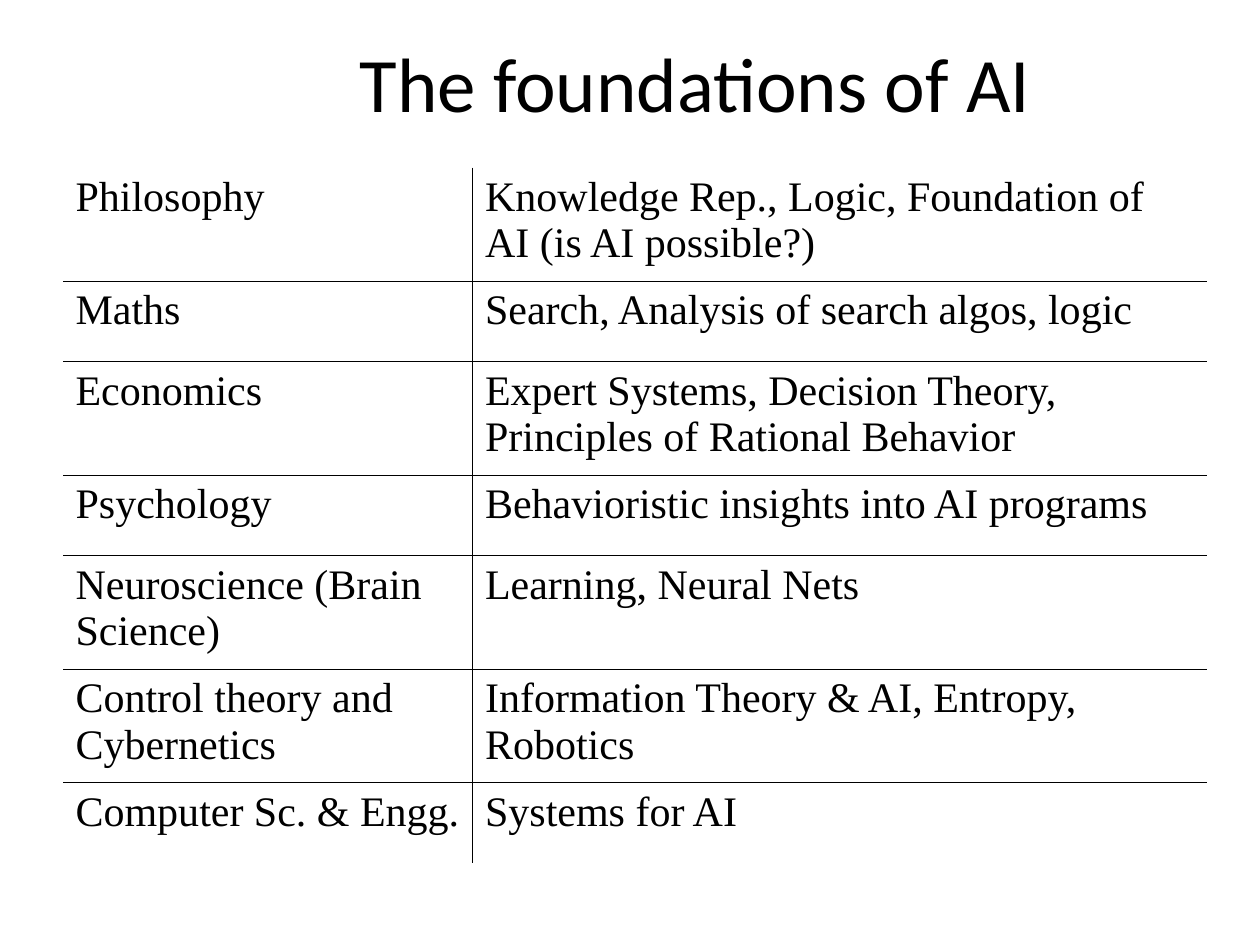
from typing import NamedTuple

from lxml import etree
from pptx import Presentation
from pptx.dml.color import RGBColor
from pptx.enum.text import MSO_ANCHOR, PP_ALIGN
from pptx.oxml.ns import qn
from pptx.util import Inches, Pt

CENTER, LEFT = PP_ALIGN.CENTER, PP_ALIGN.LEFT
TOP = MSO_ANCHOR.TOP
BLACK = "000000"
RULE_WIDTH = Pt(0.45)


class Foundation(NamedTuple):
    field: str
    contribution: str
    height: float


TALL, SHORT = 0.9, 0.64
COL_WIDTHS = (3.25, 5.83)
FOUNDATIONS = [
    Foundation("Philosophy", "Knowledge Rep., Logic, Foundation of AI (is AI possible?)", TALL),
    Foundation("Maths", "Search, Analysis of search algos, logic", SHORT),
    Foundation("Economics", "Expert Systems, Decision Theory, Principles of Rational Behavior", TALL),
    Foundation("Psychology", "Behavioristic insights into AI programs", SHORT),
    Foundation("Neuroscience (Brain Science)", "Learning, Neural Nets", TALL),
    Foundation("Control theory and Cybernetics", "Information Theory & AI, Entropy, Robotics", TALL),
    Foundation("Computer Sc. & Engg.", "Systems for AI", SHORT),
]
TITLE_FONT = {"name": "Calibri", "size": Pt(44), "bold": False}
CELL_FONT = {"name": "Times New Roman", "size": Pt(24), "bold": False}


def set_color(color_format, value: str) -> None:
    color_format.rgb = RGBColor.from_string(value)


def write_text(tf, text: str, font: dict, align, space_before: float = 0) -> None:
    tf.word_wrap = True
    p = tf.paragraphs[0]
    p.alignment = align
    p.space_before = Pt(space_before)
    r = p.add_run()
    r.text = text
    for name, value in font.items():
        setattr(r.font, name, value)
    set_color(r.font.color, BLACK)


def set_borders(cell, sides: dict) -> None:
    """Draw a rule on each side marked True and clear the others."""
    tc_pr = cell._tc.get_or_add_tcPr()
    for side in "LRTB":
        ln = etree.SubElement(tc_pr, qn(f"a:ln{side}"), w=str(int(RULE_WIDTH)))
        if sides[side]:
            fill = etree.SubElement(ln, qn("a:solidFill"))
            etree.SubElement(fill, qn("a:srgbClr"), val=BLACK)
        else:
            etree.SubElement(ln, qn("a:noFill"))


def add_title(s, text: str) -> None:
    sp = s.shapes.add_textbox(Inches(1.26), Inches(0.23), Inches(8.52), Inches(1.6))
    write_text(sp.text_frame, text, TITLE_FONT, CENTER)
    sp.text_frame.vertical_anchor = TOP


def add_foundations_table(s, rows: list[Foundation]) -> None:
    table = s.shapes.add_table(
        len(rows), len(COL_WIDTHS), Inches(0.5), Inches(1.33),
        Inches(sum(COL_WIDTHS)), Inches(sum(row.height for row in rows)),
    ).table
    table.first_row = table.horz_banding = False
    for column, width in zip(table.columns, COL_WIDTHS):
        column.width = Inches(width)
    last_row, last_col = len(rows) - 1, len(COL_WIDTHS) - 1
    for i, row in enumerate(rows):
        table.rows[i].height = Inches(row.height)
        for j, text in enumerate((row.field, row.contribution)):
            cell = table.cell(i, j)
            set_borders(cell, {"L": j > 0, "R": j < last_col, "T": i > 0, "B": i < last_row})
            cell.fill.background()
            cell.vertical_anchor = TOP
            write_text(cell.text_frame, text, CELL_FONT, LEFT, space_before=6)


def main() -> None:
    prs = Presentation()
    prs.slide_width, prs.slide_height = Inches(10), Inches(7.5)
    s = prs.slides.add_slide(prs.slide_layouts[6])
    add_title(s, "The foundations of AI")
    add_foundations_table(s, FOUNDATIONS)
    prs.save("out.pptx")


if __name__ == "__main__":
    main()
